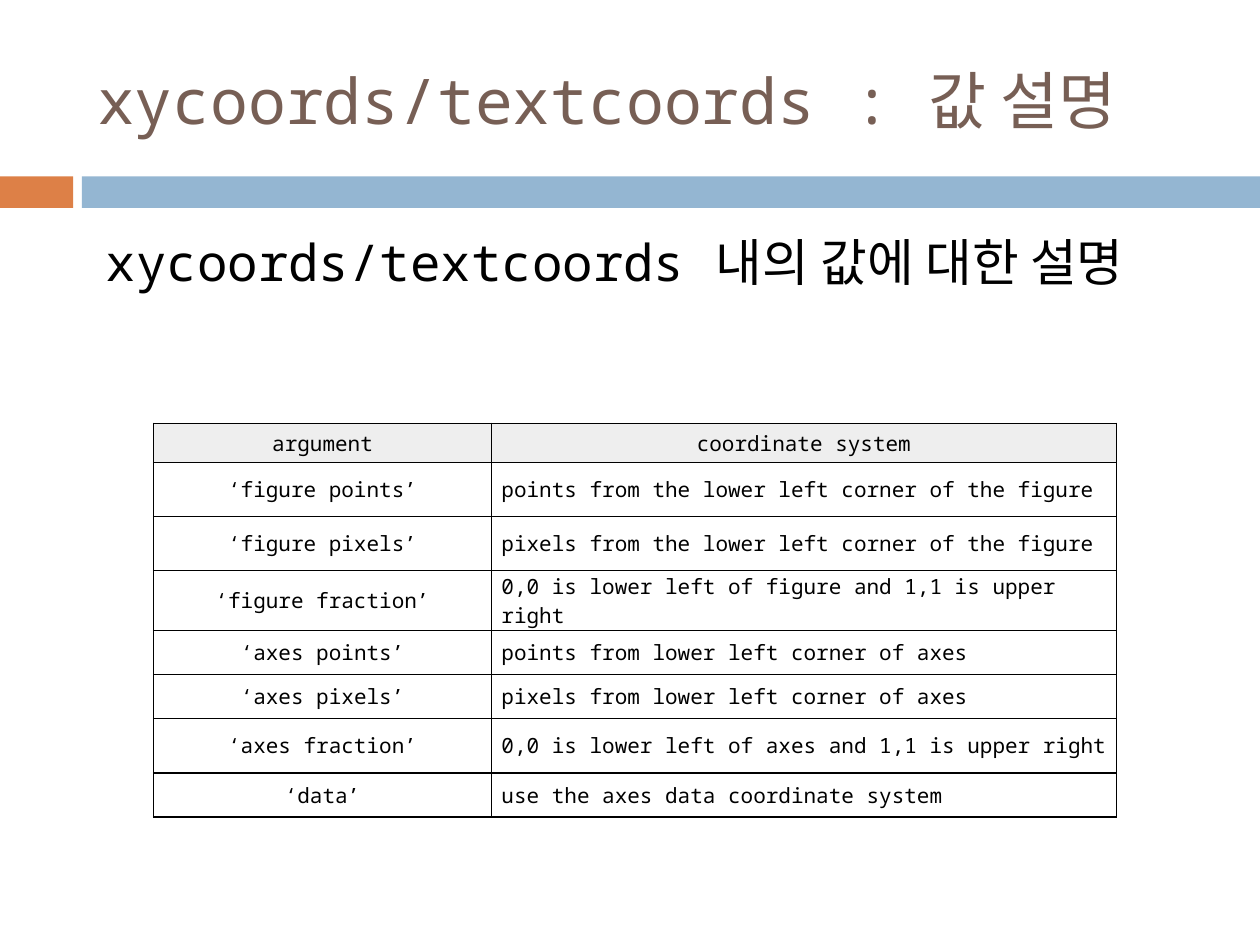
"""Build a slide explaining the xycoords/textcoords values."""
from lxml import etree
from pptx import Presentation, util as u
from pptx.dml.color import RGBColor
from pptx.enum import shapes, text
from pptx.oxml.ns import qn

FONT = "Noto Sans Mono"
HEADING = "xycoords/textcoords : 값 설명"
INTRO = "xycoords/textcoords 내의 값에 대한 설명"
ARGUMENTS = [
    ("argument", "coordinate system", 0.31),
    ("‘figure points’", "points from the lower left corner of the figure", 0.43),
    ("‘figure pixels’", "pixels from the lower left corner of the figure", 0.43),
    ("‘figure fraction’", "0,0 is lower left of figure and 1,1 is upper right", 0.43),
    ("‘axes points’", "points from lower left corner of axes", 0.35),
    ("‘axes pixels’", "pixels from lower left corner of axes", 0.35),
    ("‘axes fraction’", "0,0 is lower left of axes and 1,1 is upper right", 0.43),
    ("‘data’", "use the axes data coordinate system", 0.35),
]
COLUMNS = (2.68, 4.96)
BAND_TOP, BAND_HEIGHT = 1.4, 0.25
BANDS = [(0, 0.58, "DD8047"), (0.65, 9.35, "94B6D2")]
MIDDLE = text.MSO_ANCHOR.MIDDLE
LEFT, CENTER = text.PP_ALIGN.LEFT, text.PP_ALIGN.CENTER


def rgb(value):
    return RGBColor.from_string(value)


def assign(target, values):
    for name, value in values.items():
        setattr(target, name, value)


def paint(shape, color):
    shape.fill.solid()
    shape.fill.fore_color.rgb = rgb(color)


def write(frame, words, size, color="000000", align=LEFT):
    line = frame.paragraphs[0]
    line.text = words
    assign(line, {"alignment": align, "space_before": u.Pt(0)})
    assign(line.runs[0].font, {"name": FONT, "size": u.Pt(size)})
    line.runs[0].font.color.rgb = rgb(color)
    return line


def place(holder, box, anchor):
    assign(holder, dict(zip(("left", "top", "width", "height"), map(u.Inches, box))))
    assign(holder.text_frame, {"word_wrap": True, "vertical_anchor": anchor,
                               "auto_size": text.MSO_AUTO_SIZE.NONE})
    return holder.text_frame


def outline(cell):
    props = cell._tc.get_or_add_tcPr()
    for position, side in enumerate(("lnL", "lnR", "lnT", "lnB")):
        edge = etree.Element(qn(f"a:{side}"), w=str(u.Pt(1)))
        fill = etree.SubElement(edge, qn("a:solidFill"))
        etree.SubElement(fill, qn("a:srgbClr"), val="000000")
        props.insert(position, edge)


def add_arguments(slide):
    heights = [row[-1] for row in ARGUMENTS]
    table = slide.shapes.add_table(
        len(ARGUMENTS), len(COLUMNS), u.Inches(1.22), u.Inches(3.36),
        u.Inches(sum(COLUMNS)), u.Inches(sum(heights))).table
    for column, width in zip(table.columns, COLUMNS):
        column.width = u.Inches(width)
    for r, (*entries, height) in enumerate(ARGUMENTS):
        table.rows[r].height = u.Inches(height)
        for c, words in enumerate(entries):
            cell = table.cell(r, c)
            described = r > 0 and c == 1
            pad = u.Inches(0.01 if r else 0)
            assign(cell, {"vertical_anchor": MIDDLE, "margin_top": pad,
                          "margin_bottom": pad, "margin_right": u.Inches(0.02),
                          "margin_left": u.Inches(0.08 if described else 0.02)})
            write(cell.text_frame, words, 12, align=LEFT if described else CENTER)
            paint(cell, "FFFFFF" if r else "EEEEEE")
            outline(cell)


def main():
    deck = Presentation()
    assign(deck, {"slide_width": u.Inches(10), "slide_height": u.Inches(7.5)})
    slide = deck.slides.add_slide(deck.slide_layouts[1])
    for left, width, color in BANDS:
        band = slide.shapes.add_shape(
            shapes.MSO_SHAPE.RECTANGLE,
            *map(u.Inches, (left, BAND_TOP, width, BAND_HEIGHT)))
        paint(band, color)
        band.line.fill.background()
        band.shadow.inherit = False
    title, body = slide.placeholders
    write(place(title, (0.67, 0.25, 8.92, 1.08), MIDDLE), HEADING, 36, "775F55")
    intro = write(place(body, (0.5, 1.78, 9, 1.81), text.MSO_ANCHOR.TOP), INTRO, 29)
    indent = intro._p.get_or_add_pPr()
    indent.set("marL", str(u.Inches(0.24)))
    indent.set("indent", "0")
    etree.SubElement(indent, qn("a:buNone"))
    add_arguments(slide)
    deck.save("out.pptx")


if __name__ == "__main__":
    main()
